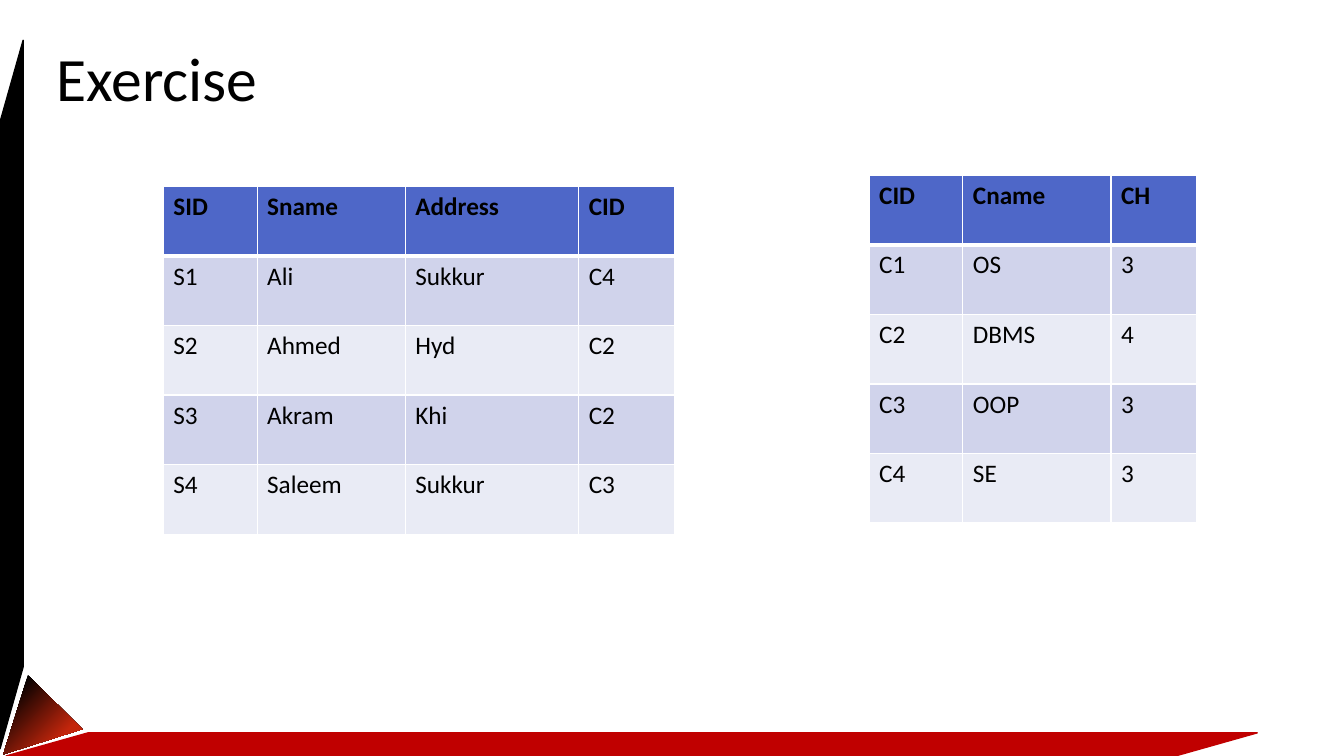
"""Build the Exercise slide with a student table and a course table."""
import pptx
import pptx.util
import pptx.dml.color
import pptx.enum.shapes
import pptx.enum.text
import pptx.oxml
import pptx.oxml.ns
from pptx.util import Inches

COLORS = {
    "text": "000000", "bar": "C00000", "strip": "000000",
    "header": "4E67C8", "odd": "D0D3EB", "even": "E9EBF5", "border": "FFFFFF",
}
ROW_HEIGHT = 0.69


def rgb(name):
    return pptx.dml.color.RGBColor.from_string(COLORS[name])


def style_text(frame, size, bold):
    paragraph = frame.paragraphs[0]
    paragraph.alignment = pptx.enum.text.PP_ALIGN.LEFT
    text_format = {"name": "Calibri", "size": pptx.util.Pt(size), "bold": bold}
    for attribute, value in text_format.items():
        setattr(paragraph.runs[0].font, attribute, value)
    paragraph.runs[0].font.color.rgb = rgb("text")


deck = pptx.Presentation()
deck.slide_width, deck.slide_height = Inches(13.33), Inches(7.5)
slide = deck.slides.add_slide(deck.slide_layouts[5])
shape_kinds = pptx.enum.shapes.MSO_SHAPE

edges = [
    ("bar", (0.06, 7.27, 12.41, 0.23), 180, False),
    ("strip", (-3.4, 3.8, 7.03, 0.23), 90, True),
]
for color, place, rotation, flipped in edges:
    edge = slide.shapes.add_shape(shape_kinds.PARALLELOGRAM, *map(Inches, place))
    edge.adjustments[0] = 3.54
    edge.rotation = rotation
    edge.shadow.inherit = False
    edge.fill.solid()
    edge.fill.fore_color.rgb = rgb(color)
    edge.line.color.rgb = rgb(color)
    edge.line.width = pptx.util.Pt(1)
    if flipped:
        edge._element.spPr.xfrm.set("flipV", "1")

corner = slide.shapes.add_shape(
    shape_kinds.FLOWCHART_MERGE, Inches(-0.09), Inches(6.86), Inches(0.76), Inches(0.73))
corner.rotation = 44.8
corner.shadow.inherit = False
corner.line.fill.background()
corner.fill.gradient()
corner.fill.gradient_angle = 0
stops = corner._element.spPr.find(".//" + pptx.oxml.ns.qn("a:gsLst"))
for stop in list(stops):
    stops.remove(stop)
for percent, color in [(24, "000000"), (69, "C3260C"), (97, "B6240C")]:
    stops.append(pptx.oxml.parse_xml(
        f'<a:gs {pptx.oxml.ns.nsdecls("a")} pos="{percent * 1000}">'
        f'<a:srgbClr val="{color}"/></a:gs>'))

title = slide.shapes.title
title_place = {"left": 0.46, "top": 0.3, "width": 12.67, "height": 1.01}
for attribute, value in title_place.items():
    setattr(title, attribute, Inches(value))
title.text_frame.text = "Exercise"
title.text_frame.vertical_anchor = pptx.enum.text.MSO_ANCHOR.MIDDLE
title.text_frame.paragraphs[0].line_spacing = 0.9
style_text(title.text_frame, 44, False)

students = [
    ["SID", "Sname", "Address", "CID"],
    ["S1", "Ali", "Sukkur", "C4"],
    ["S2", "Ahmed", "Hyd", "C2"],
    ["S3", "Akram", "Khi", "C2"],
    ["S4", "Saleem", "Sukkur", "C3"],
]
courses = [
    ["CID", "Cname", "CH"],
    ["C1", "OS", "3"],
    ["C2", "DBMS", "4"],
    ["C3", "OOP", "3"],
    ["C4", "SE", "3"],
]
relations = [
    (students, 1.62, 1.85, [0.93, 1.47, 1.72, 0.95]),
    (courses, 8.62, 1.74, [0.93, 1.47, 0.85]),
]
for records, left, top, widths in relations:
    relation = slide.shapes.add_table(
        len(records), len(widths), Inches(left), Inches(top),
        Inches(sum(widths)), Inches(ROW_HEIGHT * len(records))).table
    for column, width in zip(relation.columns, widths):
        column.width = Inches(width)
    for row, record in enumerate(records):
        band = "header" if row == 0 else "odd" if row % 2 else "even"
        for column, value in enumerate(record):
            cell = relation.cell(row, column)
            cell.text = value
            style_text(cell.text_frame, 18, row == 0)
            borders = {"lnL": 1, "lnR": 1, "lnT": 3 if row == 1 else 1,
                       "lnB": 3 if row == 0 else 1}
            for side, points in borders.items():
                cell._tc.get_or_add_tcPr().append(pptx.oxml.parse_xml(
                    f'<a:{side} {pptx.oxml.ns.nsdecls("a")} w="{points * 12700}">'
                    f'<a:solidFill><a:srgbClr val="{COLORS["border"]}"/></a:solidFill>'
                    f'</a:{side}>'))
            cell.fill.solid()
            cell.fill.fore_color.rgb = rgb(band)

deck.save("out.pptx")
